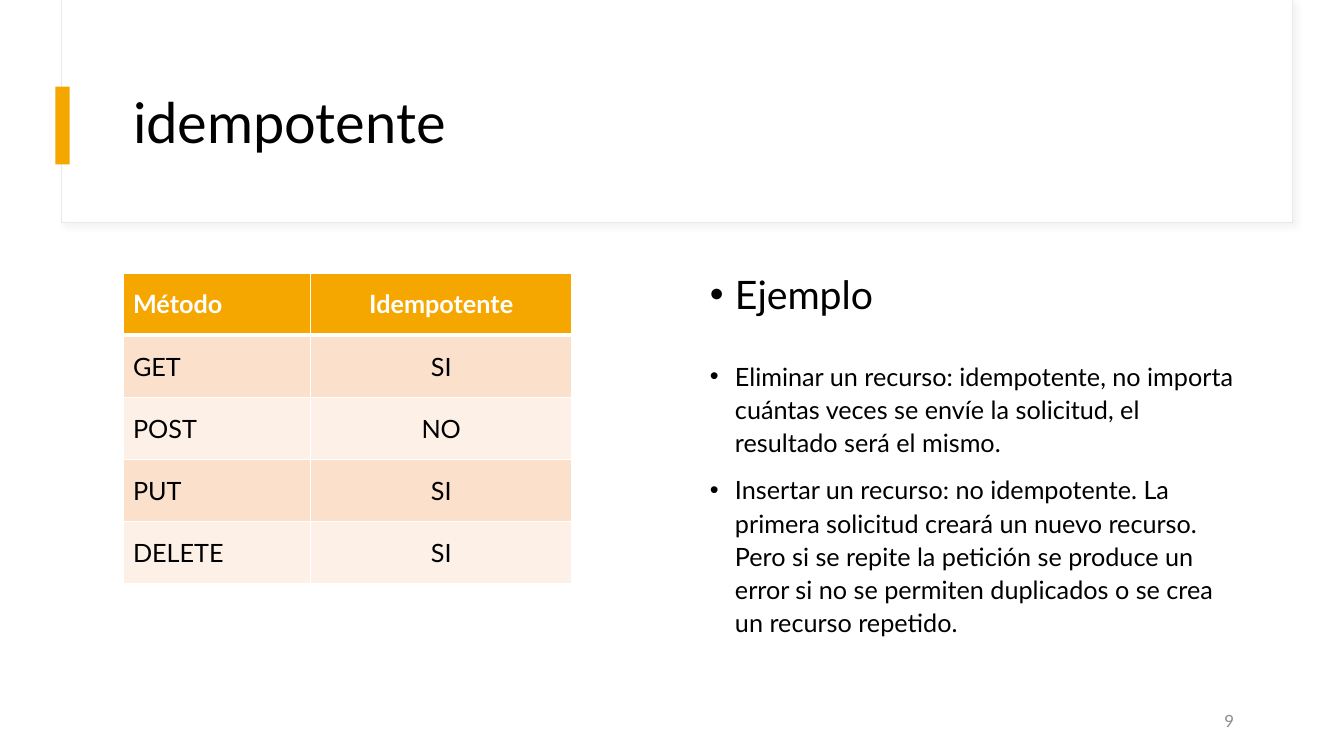
from pptx import Presentation
from pptx.dml.color import RGBColor
from pptx.enum.shapes import MSO_SHAPE
from pptx.enum.text import MSO_ANCHOR, MSO_AUTO_SIZE, PP_ALIGN
from pptx.oxml import parse_xml
from pptx.oxml.ns import nsdecls
from pptx.util import Inches, Pt

RECTANGLE = MSO_SHAPE.RECTANGLE
MIDDLE, TOP = MSO_ANCHOR.MIDDLE, MSO_ANCHOR.TOP
NO_AUTOFIT = MSO_AUTO_SIZE.NONE
LEFT, CENTER, RIGHT = PP_ALIGN.LEFT, PP_ALIGN.CENTER, PP_ALIGN.RIGHT

THEME = {
    "font": "Lato",
    "text": "000000", "light": "FFFFFF", "muted": "8C8C8C",
    "accent": "F5A700", "outline": "E9E9E9", "shadow": "D9D9D9",
    "bands": ("FBE1CC", "FDF1E7"),
    "title": 40, "heading": 28, "body": 18, "number": 12,
}
TWO_CONTENT_LAYOUT = 3

presentation = Presentation()
presentation.slide_width = Inches(13.33)
presentation.slide_height = Inches(7.5)
column = presentation.slide_width / 100
row = presentation.slide_height / 100
slide = presentation.slides.add_slide(presentation.slide_layouts[TWO_CONTENT_LAYOUT])


def grid_box(left, top, width, height):
    return [round(left * column), round(top * row), round(width * column), round(height * row)]


def write(paragraph, text, size, color, alignment=LEFT, bold=False):
    paragraph.text = text
    paragraph.alignment = alignment
    font_values = {"name": THEME["font"], "size": Pt(THEME[size]), "bold": bold}
    for name, value in font_values.items():
        setattr(paragraph.runs[0].font, name, value)
    paragraph.runs[0].font.color.rgb = RGBColor.from_string(THEME[color])


banner = slide.shapes.add_shape(RECTANGLE, *grid_box(4.58, 0, 91.6, 29.47))
accent_bar = slide.shapes.add_shape(RECTANGLE, *grid_box(4.13, 11.47, 1.05, 10.27))
for position, (shape, color) in enumerate([(banner, "light"), (accent_bar, "accent")], start=2):
    shape.shadow.inherit = False
    shape.fill.solid()
    shape.fill.fore_color.rgb = RGBColor.from_string(THEME[color])
    slide.shapes._spTree.insert(position, shape._element)
accent_bar.line.fill.background()
banner.line.width = Pt(0.75)
banner.line.color.rgb = RGBColor.from_string(THEME["outline"])
banner._element.spPr.find("{*}effectLst").append(parse_xml(
    f'<a:outerShdw {nsdecls("a")} blurRad="{Pt(4)}" dist="{Pt(3)}" dir="2700000" algn="tl" rotWithShape="0">'
    f'<a:srgbClr val="{THEME["shadow"]}"><a:alpha val="30000"/></a:srgbClr></a:outerShdw>'
))

title = slide.shapes.title
heading, examples = slide.placeholders[1], slide.placeholders[2]
page_number = slide.shapes.add_textbox(*grid_box(70.07, 92.67, 22.5, 5.33))
frames = [
    (title, (9.15, 8, 83.42, 17.2), MIDDLE),
    (heading, (52.06, 34.53, 40.51, 12), TOP),
    (examples, (52.06, 46.67, 40.51, 43.33), TOP),
    (page_number, (70.07, 92.67, 22.5, 5.33), MIDDLE),
]
for shape, area, anchor in frames:
    for name, value in zip(("left", "top", "width", "height"), grid_box(*area)):
        setattr(shape, name, value)
    frame_values = {"word_wrap": True, "auto_size": NO_AUTOFIT, "vertical_anchor": anchor}
    for name, value in frame_values.items():
        setattr(shape.text_frame, name, value)

title_paragraph = title.text_frame.paragraphs[0]
write(title_paragraph, "idempotente", "title", "text")
title_paragraph.line_spacing = 0.9
write(page_number.text_frame.paragraphs[0], "9", "number", "muted", RIGHT)

lists = [
    (heading, "heading", ["Ejemplo"]),
    (examples, "body", [
        "Eliminar un recurso: idempotente, no importa cuántas veces se envíe la solicitud, "
        "el resultado será el mismo.",
        "Insertar un recurso: no idempotente. La primera solicitud creará un nuevo recurso. "
        "Pero si se repite la petición se produce un error si no se permiten duplicados "
        "o se crea un recurso repetido.",
    ]),
]
for shape, size, items in lists:
    frame = shape.text_frame
    for index, item in enumerate(items):
        paragraph = frame.add_paragraph() if index else frame.paragraphs[0]
        properties = paragraph._p.get_or_add_pPr()
        properties.set("marL", str(Inches(0.25)))
        properties.set("indent", str(-Inches(0.25)))
        properties.append(parse_xml(f'<a:buFont {nsdecls("a")} typeface="Arial"/>'))
        properties.append(parse_xml(f'<a:buChar {nsdecls("a")} char="•"/>'))
        write(paragraph, item, size, "text")
        paragraph.line_spacing = 1.1
        paragraph.space_before = Pt(10 if index else 0)

methods = [
    ("Método", "Idempotente"),
    ("GET", "SI"),
    ("POST", "NO"),
    ("PUT", "SI"),
    ("DELETE", "SI"),
]
table = slide.shapes.add_table(len(methods), 2, *grid_box(9.15, 36.13, 33.38, 41.07)).table
for table_column, share in zip(table.columns, (13.98, 19.4)):
    table_column.width = round(share * column)
for row_index, values in enumerate(methods):
    is_header = row_index == 0
    fill = THEME["accent"] if is_header else THEME["bands"][(row_index - 1) % 2]
    border_widths = {"lnL": 1, "lnR": 1, "lnT": 3 if row_index == 1 else 1, "lnB": 3 if is_header else 1}
    for column_index, value in enumerate(values):
        cell = table.cell(row_index, column_index)
        cell.vertical_anchor = MIDDLE
        cell.fill.solid()
        cell.fill.fore_color.rgb = RGBColor.from_string(fill)
        write(cell.text_frame.paragraphs[0], value, "body", "light" if is_header else "text",
              CENTER if column_index else LEFT, is_header)
        for position, (side, width) in enumerate(border_widths.items()):
            cell._tc.get_or_add_tcPr().insert(position, parse_xml(
                f'<a:{side} {nsdecls("a")} w="{Pt(width)}"><a:solidFill>'
                f'<a:srgbClr val="{THEME["light"]}"/></a:solidFill></a:{side}>'
            ))

presentation.save("out.pptx")
